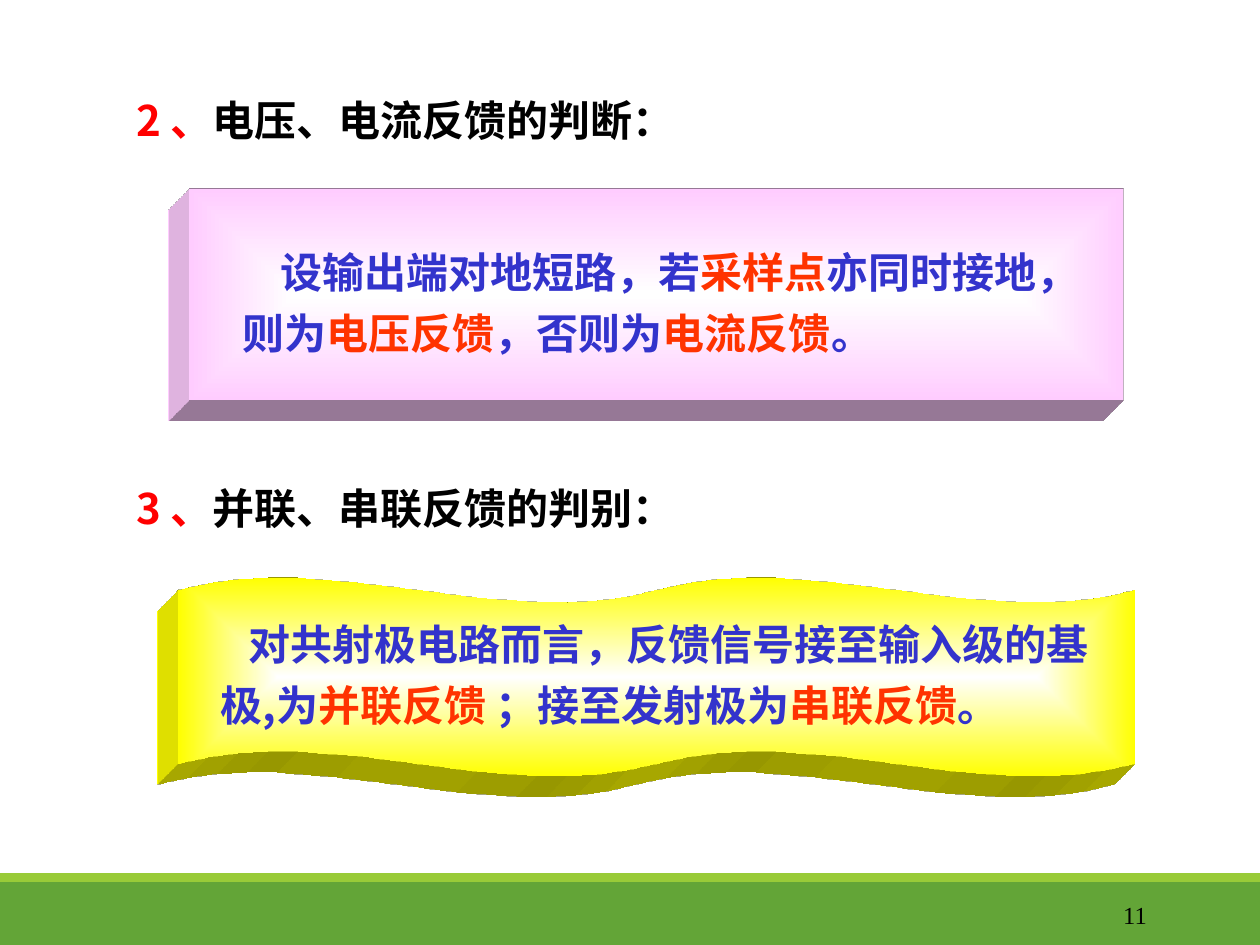
from lxml import etree
from pptx import Presentation
from pptx.dml.color import RGBColor
from pptx.enum.shapes import MSO_SHAPE
from pptx.enum.text import MSO_ANCHOR, PP_ALIGN
from pptx.oxml.ns import qn
from pptx.util import Inches, Pt

RECTANGLE, DOUBLE_WAVE = MSO_SHAPE.RECTANGLE, MSO_SHAPE.DOUBLE_WAVE
MIDDLE, TOP = MSO_ANCHOR.MIDDLE, MSO_ANCHOR.TOP
LEFT, RIGHT = PP_ALIGN.LEFT, PP_ALIGN.RIGHT
WHITE = RGBColor(0xFF, 0xFF, 0xFF)
BLACK = RGBColor(0, 0, 0)
RED = RGBColor(0xFF, 0, 0)
BLUE = RGBColor(0x33, 0x33, 0xCC)
ORANGE = RGBColor(0xFF, 0x33, 0)
GREEN = RGBColor(0x63, 0xA5, 0x37)
LIME = RGBColor(0x99, 0xCB, 0x38)
PINK = RGBColor(0xFF, 0xCC, 0xFF)
YELLOW = RGBColor(0xFF, 0xFF, 0)
SANS, SERIF = "Noto Sans CJK SC", "Times New Roman"
DEPTH = Inches(0.47)


def add_words(holder, box, runs, size=24, font=SANS, bold=True, inset=0,
              anchor=TOP, align=LEFT, spacing=1.0, indent=0):
    """Place one paragraph of coloured runs in the box."""
    frame = holder.shapes.add_textbox(*map(Inches, box)).text_frame
    layout = {"word_wrap": True, "vertical_anchor": anchor,
              "margin_left": Inches(inset), "margin_right": Inches(inset),
              "margin_top": Inches(inset / 2), "margin_bottom": Inches(inset / 2)}
    for name, value in layout.items():
        setattr(frame, name, value)
    paragraph = frame.paragraphs[0]
    paragraph.alignment, paragraph.line_spacing = align, spacing
    paragraph._p.get_or_add_pPr().set("indent", str(Inches(indent)))
    for words, color in runs:
        run = paragraph.add_run()
        run.text = words
        for name, value in {"size": Pt(size), "name": font, "bold": bold}.items():
            setattr(run.font, name, value)
        run.font.color.rgb = color
        etree.SubElement(run._r.rPr, qn("a:ea")).set("typeface", font)


def add_solid(holder, kind, box, color):
    """Add a flat preset shape without outline."""
    shape = holder.shapes.add_shape(kind, *map(Inches, box))
    shape.shadow.inherit = False
    shape.fill.solid()
    shape.fill.fore_color.rgb = color
    shape.line.fill.background()
    return shape


def glow(shape, color):
    """Fill the shape with a gradient that is white in the centre."""
    shape.fill.gradient()
    for stop, shade, position in zip(shape.fill.gradient_stops, (WHITE, color), (0, 1)):
        stop.color.rgb, stop.position = shade, position
    gradient = shape._element.spPr.find(qn("a:gradFill"))
    gradient.remove(gradient.find(qn("a:lin")))
    center = etree.SubElement(gradient, qn("a:path"), {"path": "rect"})
    etree.SubElement(center, qn("a:fillToRect"), dict.fromkeys("ltrb", "50000"))


def extrude(shape, color):
    """Give the shape depth towards the lower left."""
    properties = shape._element.spPr
    scene = etree.SubElement(properties, qn("a:scene3d"))
    etree.SubElement(scene, qn("a:camera"), {"prst": "legacyObliqueBottomLeft"})
    etree.SubElement(scene, qn("a:lightRig"), {"rig": "legacyFlat3", "dir": "t"})
    solid = etree.SubElement(properties, qn("a:sp3d"),
                             {"extrusionH": str(DEPTH), "prstMaterial": "legacyMatte"})
    tint = etree.SubElement(solid, qn("a:extrusionClr"))
    etree.SubElement(tint, qn("a:srgbClr"), {"val": str(color)})


def add_panel(slide, box, kind, color, text_box, runs, wave=0, **text_format):
    """Group a raised panel with the statement on it."""
    group = slide.shapes.add_group_shape()
    panel = add_solid(group, kind, box, color)
    if wave:
        panel.adjustments[0] = wave
    glow(panel, color)
    extrude(panel, color)
    add_words(group, text_box, runs, spacing=1.2, **text_format)


def add_footer(slide, box, number):
    """Draw the green footer bands and the page number."""
    left, top, width, height = box
    strip = 0.07
    add_solid(slide, RECTANGLE, (left, top + strip, width, height - strip), GREEN)
    add_solid(slide, RECTANGLE, (left, top, width, strip), LIME)
    add_words(slide, (left + 8.12, top + 0.13, 1.08, 0.4), [(number, BLACK)], size=14,
              font=SERIF, bold=False, inset=0.1, anchor=MIDDLE, align=RIGHT)


def add_heading(slide, box, number, title):
    """Write a numbered section heading."""
    add_words(slide, box, [(number, RED), (title, BLACK)])


def main():
    """Build and save the slide."""
    deck = Presentation()
    deck.slide_width, deck.slide_height = Inches(10), Inches(7.5)
    slide = deck.slides.add_slide(deck.slide_layouts[6])
    add_footer(slide, (0, 6.93, 10, 0.57), "11")
    add_heading(slide, (1.08, 0.75, 4.75, 0.4), "2 、", "电压、电流反馈的判断：")
    add_heading(slide, (1.08, 3.83, 4.42, 0.4), "3 、", "并联、串联反馈的判别：")
    add_panel(slide, (1.42, 4.58, 7.58, 1.58), DOUBLE_WAVE, YELLOW,
              (1.75, 4.83, 6.92, 0.96), [
                  ("对共射极电路而言，反馈信号接至输入级的基极,为", BLUE),
                  ("并联反馈", ORANGE), (" ；接至发射极为", BLUE),
                  ("串联反馈", ORANGE), ("。", BLUE),
              ], wave=0.065, indent=0.22)
    add_panel(slide, (1.5, 1.5, 7.42, 1.67), RECTANGLE, PINK,
              (1.83, 1.83, 6.75, 1.06), [
                  ("设输出端对地短路，若", BLUE), ("采样点", ORANGE),
                  ("亦同时接地，则为", BLUE), ("电压反馈", ORANGE),
                  ("，否则为", BLUE), ("电流反馈", ORANGE), ("。", BLUE),
              ], inset=0.1, indent=0.3)
    deck.save("out.pptx")


if __name__ == "__main__":
    main()
